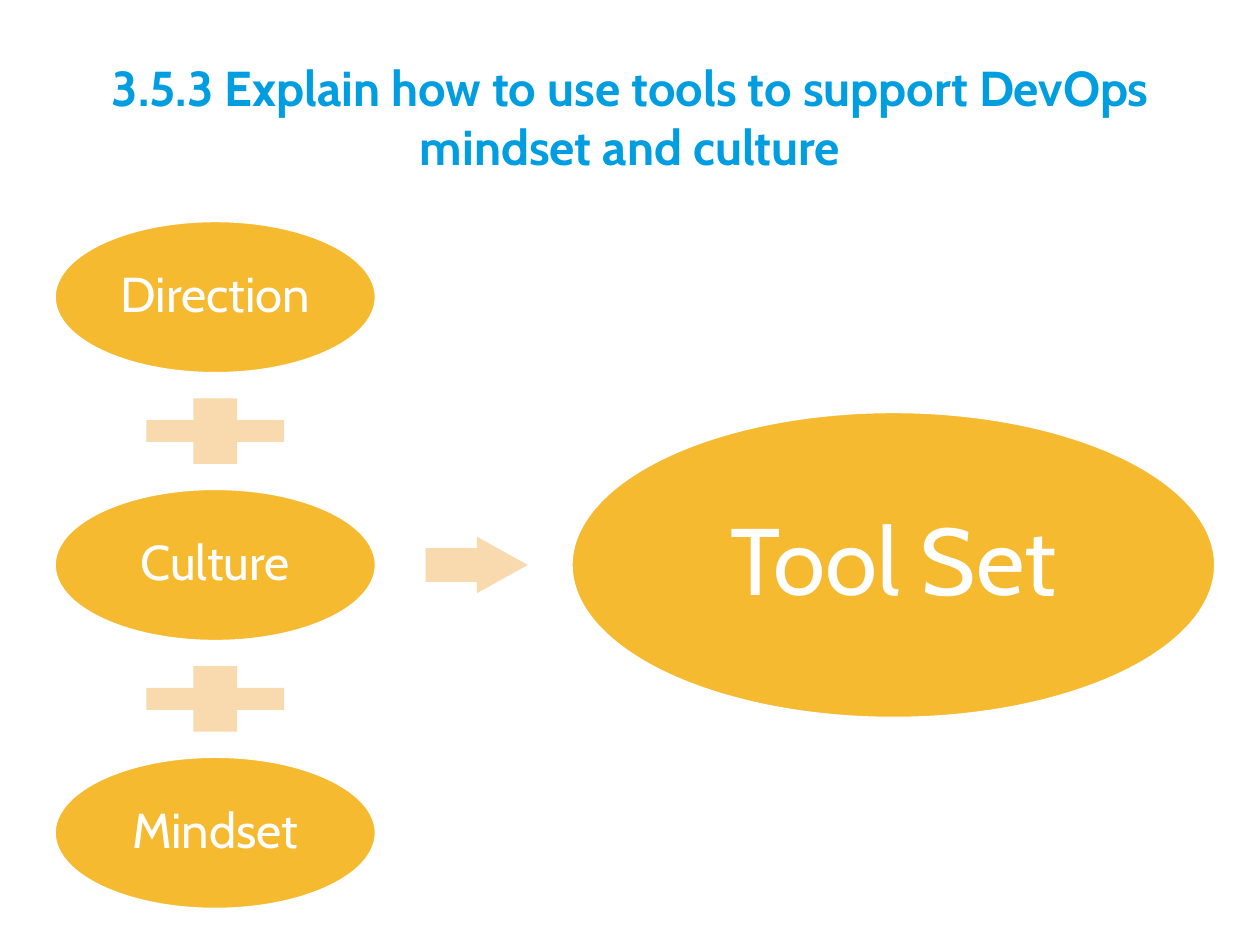
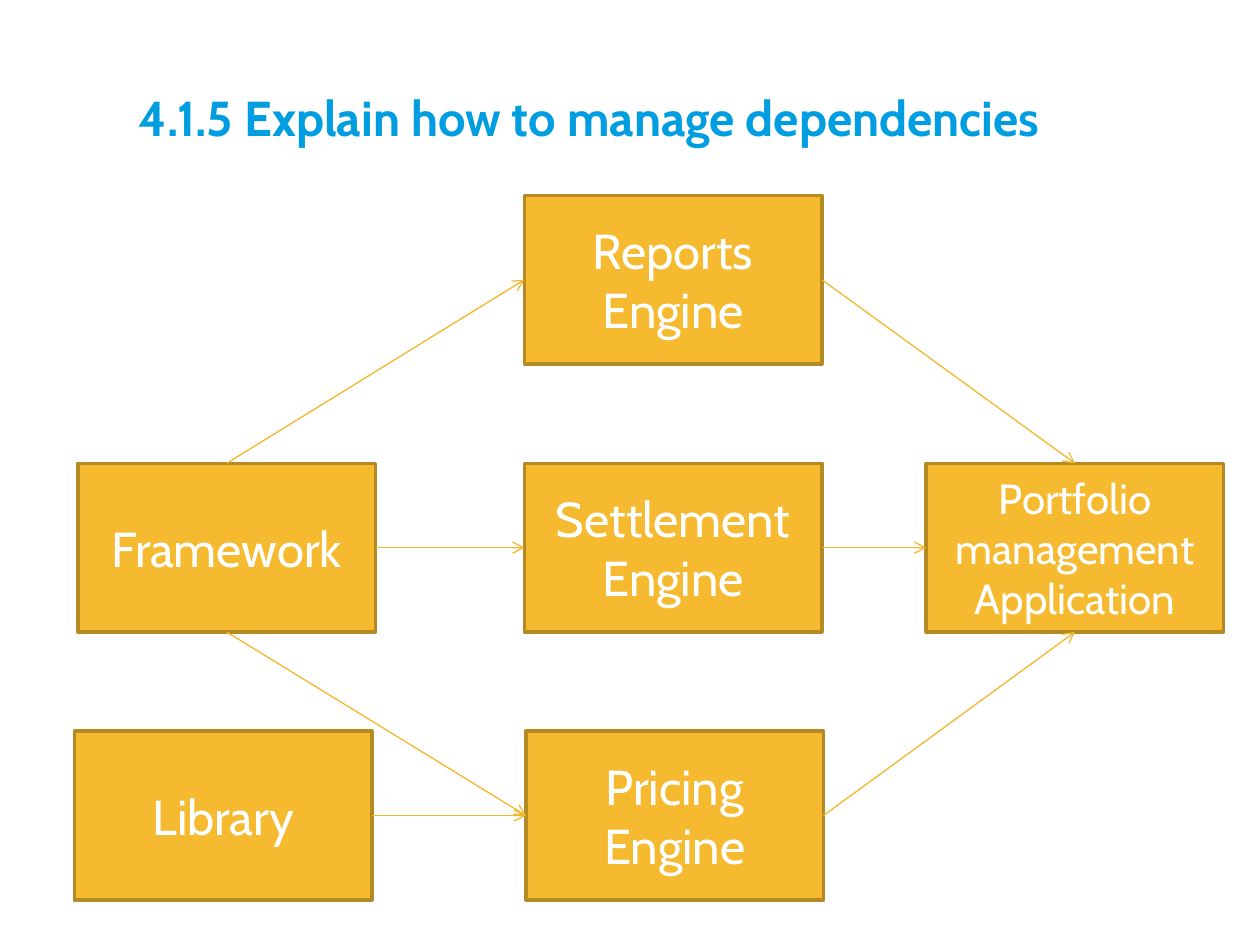
from lxml import etree
from pptx import Presentation
from pptx import util as u
from pptx.dml.color import RGBColor
from pptx.enum import shapes, text
from pptx.oxml import ns

COLORS = {
    "title": "009DE0",
    "amber": "F5BA30",
    "outline": "B58A24",
    "link": "F4B82A",
    "pale": "F9D9AE",
    "white": "FFFFFF",
}
FONT = "Cabin"
ROW_PITCH = 5.4
TOP, LEFT, BOTTOM, RIGHT = range(4)


def rgb(name):
    return RGBColor.from_string(COLORS[name])


def write(sp, words, size, color, bold=False, spacing=None):
    tf = sp.text_frame
    tf.word_wrap = True
    tf.auto_size = text.MSO_AUTO_SIZE.NONE
    tf.vertical_anchor = text.MSO_ANCHOR.MIDDLE
    p = tf.paragraphs[0]
    p.alignment = text.PP_ALIGN.CENTER
    if spacing:
        p.line_spacing = spacing
    r = p.add_run()
    r.text = words
    r.font.name = FONT
    r.font.size = u.Pt(size)
    r.font.bold = bold
    r.font.color.rgb = rgb(color)
    return tf


def add_titled_slide(prs, words, left, width):
    s = prs.slides.add_slide(prs.slide_layouts[5])
    sp = s.shapes.title
    sp.left, sp.top = u.Cm(left), u.Cm(0.76)
    sp.width, sp.height = u.Cm(width), u.Cm(3.18)
    write(sp, words, 28, "title", bold=True)
    return s


def paint(sp, fill, line=None):
    sp.shadow.inherit = False
    sp.fill.solid()
    sp.fill.fore_color.rgb = rgb(fill)
    if line:
        sp.line.color.rgb = rgb(line)
        sp.line.width = u.Pt(2)
    else:
        sp.line.fill.background()


def add_centred(s, kind, cx, cy, width, height):
    return s.shapes.add_shape(kind, u.Cm(cx - width / 2), u.Cm(cy - height / 2),
                              u.Cm(width), u.Cm(height))


def add_oval(s, words, cx, cy, width, height, size):
    sp = add_centred(s, shapes.MSO_SHAPE.OVAL, cx, cy, width, height)
    paint(sp, "amber", "white")
    tf = write(sp, words, size, "white", spacing=0.9)
    tf.margin_left = tf.margin_right = tf.margin_top = tf.margin_bottom = 0


def add_plus(s, cx, cy):
    half_w, half_h, stem, bar = 1.39, 0.66, 0.44, 0.22
    corner = [(half_w, bar), (stem, bar), (stem, half_h)]
    outline = []
    for sx, sy in ((1, 1), (-1, 1), (-1, -1), (1, -1)):
        steps = corner if sx == sy else corner[::-1]
        outline += [(u.Cm(cx + sx * x), u.Cm(cy + sy * y)) for x, y in steps]
    fb = s.shapes.build_freeform(*outline[0])
    fb.add_line_segments(outline[1:], close=True)
    paint(fb.convert_to_shape(), "pale")


def add_block_arrow(s, cx, cy):
    sp = add_centred(s, shapes.MSO_SHAPE.RIGHT_ARROW, cx, cy, 2.06, 1.14)
    sp.adjustments[0], sp.adjustments[1] = 0.6, 0.9
    paint(sp, "pale")


def add_box(s, words, left, row, size=28):
    sp = s.shapes.add_shape(shapes.MSO_SHAPE.RECTANGLE, u.Cm(left),
                            u.Cm(3.94 + row * ROW_PITCH), u.Cm(6), u.Cm(3.4))
    paint(sp, "amber", "outline")
    write(sp, words, size, "white")
    return sp


def add_link(s, source, source_side, target, target_side):
    c = s.shapes.add_connector(shapes.MSO_CONNECTOR.STRAIGHT, 0, 0, 0, 0)
    c.begin_connect(source, source_side)
    c.end_connect(target, target_side)
    c.line.color.rgb = rgb("link")
    c.line.width = u.Pt(0.75)
    ln = c.line._get_or_add_ln()
    etree.SubElement(ln, ns.qn("a:tailEnd"), type="arrow")
    etree.SubElement(c._element.spPr, ns.qn("a:effectLst"))


def build_tool_set(prs):
    s = add_titled_slide(
        prs, "3.5.3 Explain how to use tools to support DevOps mindset and culture",
        1.27, 22.86)
    cx, first_cy = 4.34, 5.99
    middle_cy = first_cy + ROW_PITCH
    for i, words in enumerate(("Direction", "Culture", "Mindset")):
        cy = first_cy + i * ROW_PITCH
        if i:
            add_plus(s, cx, cy - ROW_PITCH / 2)
        add_oval(s, words, cx, cy, 6.5, 3.09, 28)
    add_block_arrow(s, 9.61, middle_cy)
    add_oval(s, "Tool Set", 18.01, middle_cy, 13, 6.19, 54)


def build_dependencies(prs):
    s = add_titled_slide(prs, "4.1.5 Explain how to manage dependencies", 0.2, 25.48)
    s.shapes.title.text_frame.margin_right = u.Cm(2.4)
    framework = add_box(s, "Framework", 1.57, 1)
    library = add_box(s, "Library", 1.5, 2)
    reports = add_box(s, "Reports Engine", 10.57, 0)
    settlement = add_box(s, "Settlement Engine", 10.57, 1)
    pricing = add_box(s, "Pricing Engine", 10.6, 2)
    portfolio = add_box(s, "Portfolio management Application", 18.67, 1, size=24)
    for link in (
        (framework, RIGHT, settlement, LEFT),
        (settlement, RIGHT, portfolio, LEFT),
        (framework, TOP, reports, LEFT),
        (reports, RIGHT, portfolio, TOP),
        (framework, BOTTOM, pricing, LEFT),
        (pricing, RIGHT, portfolio, BOTTOM),
        (library, RIGHT, pricing, LEFT),
    ):
        add_link(s, *link)


def main():
    prs = Presentation()
    prs.slide_width, prs.slide_height = u.Cm(25.4), u.Cm(19.05)
    build_tool_set(prs)
    build_dependencies(prs)
    prs.save("out.pptx")


if __name__ == "__main__":
    main()
